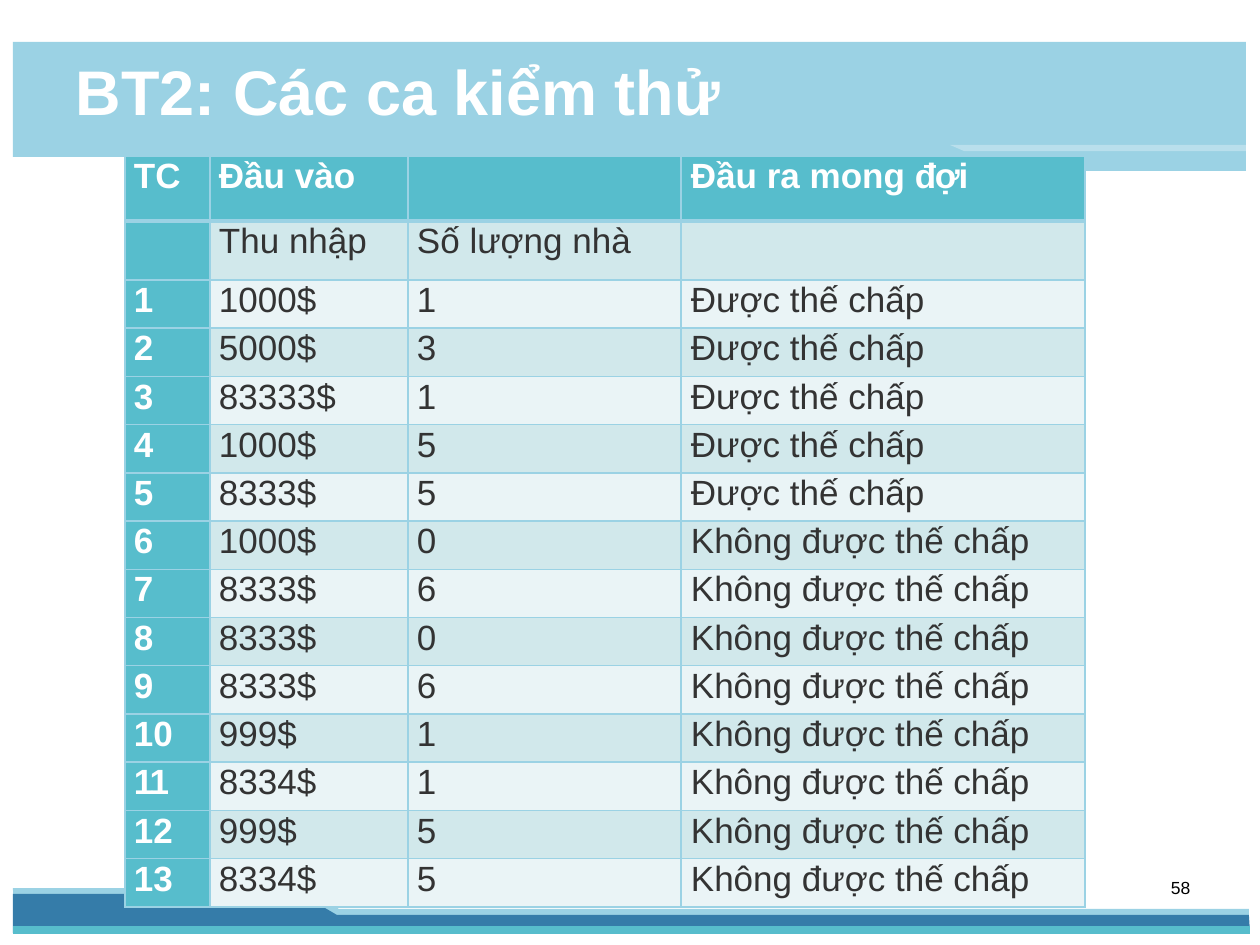
from lxml import etree
from pptx import Presentation
from pptx import util as u
from pptx.dml.color import RGBColor
from pptx.enum import text
from pptx.oxml import ns

EMU_PER_PX = 914400 / 126
FONT = "Arial"
WHITE = RGBColor(0xFF, 0xFF, 0xFF)
BLACK = RGBColor(0, 0, 0)
DARK = RGBColor(0x33, 0x33, 0x33)
SKY = RGBColor(0x9B, 0xD2, 0xE4)
BLUE = RGBColor(0x35, 0x7C, 0xA9)
TEAL = RGBColor(0x57, 0xBD, 0xCC)
BANDS = (RGBColor(0xEA, 0xF4, 0xF6), RGBColor(0xD1, 0xE8, 0xEB))

RIBBONS = [
    (SKY, 100, [(13, 888), (14, 931), (1249, 931), (1249, 909), (339, 909), (307, 888)]),
    (BLUE, 100, [(13, 894), (13, 933), (1250, 931), (1249, 915), (337, 915), (301, 894)]),
    (SKY, 100, [(1246, 42), (13, 42), (13, 157), (936, 157), (959, 171), (1246, 171)]),
    (TEAL, 100, [(1250, 926), (13, 926), (13, 934), (1250, 934)]),
    (WHITE, 30, [(1247, 145), (950, 145), (964, 151), (1247, 151)]),
]
ACCEPTED = "Được thế chấp"
REFUSED = "Không được thế chấp"
INPUTS = [
    ("1000$", "1"), ("5000$", "3"), ("83333$", "1"), ("1000$", "5"), ("8333$", "5"),
    ("1000$", "0"), ("8333$", "6"), ("8333$", "0"), ("8333$", "6"), ("999$", "1"),
    ("8334$", "1"), ("999$", "5"), ("8334$", "5"),
]
ACCEPTED_COUNT = 5
COLUMN_WIDTHS = [85, 198, 273, 404]
HEADING_HEIGHTS = [65, 59]
CASES_HEIGHT = 627
TIGHT_WORDS = {"11": -110, "đợi": -80}


def px(length):
    return u.Emu(round(length * EMU_PER_PX))


def add_ribbon(slide, color, opacity, points):
    builder = slide.shapes.build_freeform(*points[0], scale=EMU_PER_PX)
    builder.add_line_segments(points[1:], close=True)
    ribbon = builder.convert_to_shape()
    ribbon.shadow.inherit = False
    ribbon.line.fill.background()
    ribbon.fill.solid()
    ribbon.fill.fore_color.rgb = color
    if opacity < 100:
        tint = ribbon.element.find(".//" + ns.qn("a:srgbClr"))
        etree.SubElement(tint, ns.qn("a:alpha"), val=str(opacity * 1000))


def place(box, left, top, width, height):
    box.left, box.top, box.width, box.height = map(px, (left, top, width, height))


def set_insets(frame, left, top):
    frame.margin_left, frame.margin_top = px(left), px(top)
    frame.margin_right = frame.margin_bottom = 0
    frame.vertical_anchor = text.MSO_ANCHOR.TOP


def write(para, words, size, color, bold=False):
    para.alignment = text.PP_ALIGN.LEFT
    font = para.font
    font.name, font.size, font.bold = FONT, u.Pt(size), bold
    font.color.rgb = color
    head, gap, last = words.rpartition(" ")
    parts = [head + gap, last] if last in TIGHT_WORDS else [words]
    for part in filter(None, parts):
        span = para.add_run()
        span.text = part
        if part in TIGHT_WORDS:
            span.font.element.set("spc", str(TIGHT_WORDS[part])) if hasattr(
                span.font, "element") else span._r.get_or_add_rPr().set(
                "spc", str(TIGHT_WORDS[part]))


def add_title(slide):
    title = slide.shapes.title
    place(title, 74, 52, 648, 79)
    frame = title.text_frame
    set_insets(frame, 2, 1)
    frame.auto_size = text.MSO_AUTO_SIZE.NONE
    frame.paragraphs[0].space_before = u.Pt(1)
    write(frame.paragraphs[0], "BT2: Các ca kiểm thử", 36, WHITE, True)
    title.element.getparent().append(title.element)


def add_page_number(slide):
    box = slide.shapes.add_textbox(px(1158), px(877), px(38), px(31))
    box.text_frame.word_wrap = True
    set_insets(box.text_frame, 13, 0)
    write(box.text_frame.paragraphs[0], "58", 10, BLACK)


def set_borders(cell, widths):
    properties = cell._tc.get_or_add_tcPr()
    for side, width in zip("LRTB", widths):
        line = etree.SubElement(properties, ns.qn("a:ln" + side), w=str(u.Pt(width)))
        fill = etree.SubElement(line, ns.qn("a:solidFill"))
        etree.SubElement(fill, ns.qn("a:srgbClr"), val=str(SKY))


def format_cell(cell, words, row, column):
    heading = row == 0 or column == 0
    set_borders(cell, (1, 1, 3 if row == 1 else 1, 3 if row == 0 else 1))
    cell.fill.solid()
    cell.fill.fore_color.rgb = TEAL if heading else BANDS[row % 2]
    set_insets(cell, 10 if column == 3 else 9, 1)
    para = cell.text_frame.paragraphs[0]
    para.space_before = u.Pt(0.8)
    write(para, words, 20, WHITE if heading else DARK, heading)


def add_case_table(slide):
    rows = [("TC", "Đầu vào", "", "Đầu ra mong đợi"), ("", "Thu nhập", "Số lượng nhà", "")]
    for number, (income, houses) in enumerate(INPUTS, 1):
        result = ACCEPTED if number <= ACCEPTED_COUNT else REFUSED
        rows.append((str(number), income, houses, result))
    heights = HEADING_HEIGHTS + [CASES_HEIGHT / len(INPUTS)] * len(INPUTS)
    table = slide.shapes.add_table(
        len(rows), len(COLUMN_WIDTHS), px(125), px(156),
        px(sum(COLUMN_WIDTHS)), px(sum(heights))).table
    table.first_col = True
    for column, width in zip(table.columns, COLUMN_WIDTHS):
        column.width = px(width)
    for row, height in zip(table.rows, heights):
        row.height = px(height)
    for row, values in enumerate(rows):
        for column, words in enumerate(values):
            format_cell(table.cell(row, column), words, row, column)


def main():
    deck = Presentation()
    deck.slide_width, deck.slide_height = px(1260), px(945)
    slide = deck.slides.add_slide(deck.slide_layouts[5])
    for ribbon in RIBBONS:
        add_ribbon(slide, *ribbon)
    add_title(slide)
    add_page_number(slide)
    add_case_table(slide)
    deck.save("out.pptx")


if __name__ == "__main__":
    main()
